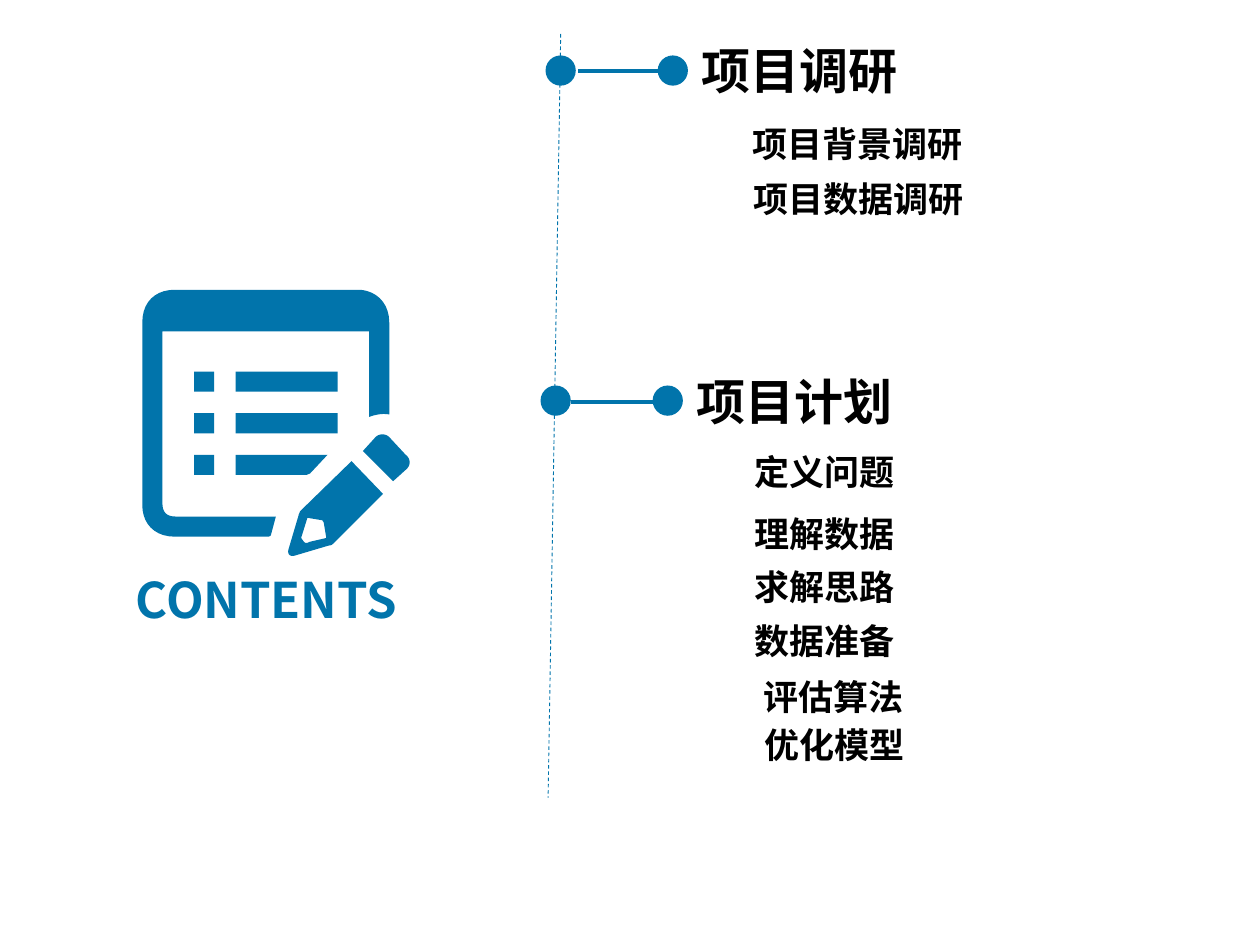
from lxml import etree
from pptx import Presentation
from pptx.dml.color import RGBColor
from pptx.enum.dml import MSO_LINE
from pptx.enum.shapes import MSO_CONNECTOR, MSO_SHAPE
from pptx.enum.text import MSO_AUTO_SIZE, PP_ALIGN
from pptx.oxml.ns import qn
from pptx.util import Inches, Pt

COLORS = {"blue": "0174AB", "black": "000000"}
FONT = "Noto Sans CJK SC"
STRAIGHT = MSO_CONNECTOR.STRAIGHT
DASH = MSO_LINE.DASH
OVAL, RECTANGLE = MSO_SHAPE.OVAL, MSO_SHAPE.RECTANGLE
FIT_SHAPE = MSO_AUTO_SIZE.SHAPE_TO_FIT_TEXT
LEFT, CENTER = PP_ALIGN.LEFT, PP_ALIGN.CENTER
CURVE_STEPS = 10

deck = Presentation()
deck.slide_width, deck.slide_height = Inches(10), Inches(7.5)
slide = deck.slides.add_slide(deck.slide_layouts[6])
shapes = slide.shapes

# The slide is a grid of 100 columns by 75 rows.
COL, ROW = deck.slide_width / 100, deck.slide_height / 75


def place(*lengths):
    """Turn alternating columns and rows into slide lengths."""
    return [round(length * (COL, ROW)[i % 2]) for i, length in enumerate(lengths)]


def flatten(outline):
    """Turn points and six-number Bézier curves into a list of points."""
    points = []
    for step in outline:
        if len(step) == 2:
            points.append(place(*step))
            continue
        knots = [points[-1]] + [place(*step[i:i + 2]) for i in (0, 2, 4)]
        for i in range(1, CURVE_STEPS + 1):
            t = i / CURVE_STEPS
            weights = ((1 - t) ** 3, 3 * t * (1 - t) ** 2, 3 * t * t * (1 - t), t ** 3)
            points.append([sum(w * knot[axis] for w, knot in zip(weights, knots))
                           for axis in (0, 1)])
    return points


# Timeline spine and rungs: start, end, width in points, dash
lines = [
    ((44.5, 2.7, 43.5, 63.3), 0.5, DASH),
    ((45.9, 5.6, 52.4, 5.6), 2.25, None),
    ((45.3, 31.9, 51.8, 31.9), 2.25, None),
]
for ends, width, dash in lines:
    connector = shapes.add_connector(STRAIGHT, *place(*ends))
    connector.line.color.rgb = RGBColor.from_string(COLORS["blue"])
    connector.line.width = Pt(width)
    if dash:
        connector.line.dash_style = dash
    etree.SubElement(connector._element.spPr, qn("a:effectLst"))

# Notepad and pencil: each icon part is a list of closed outlines
notepad = [
    (21.9, 41), (21.5, 42.5), (21.4, 42.6, 21.3, 42.6, 21.2, 42.6), (13.9, 42.6),
    (12.2, 42.6, 11.3, 41.5, 11.3, 40.1), (11.3, 25.6),
    (11.3, 24, 12.3, 23, 13.9, 23), (28.4, 23),
    (29.7, 23, 30.9, 23.9, 30.9, 25.6), (30.9, 32.9),
    (30.4, 32.8, 29.8, 32.9, 29.3, 33.1), (29.3, 26.3), (12.9, 26.3), (12.9, 40),
    (12.9, 40.6, 13.2, 41, 13.9, 41),
]
pencil = [
    (27.9, 36.6), (30.4, 39.2), (26.5, 43.1), (26.4, 43.2, 26.3, 43.3, 26.1, 43.3),
    (23.4, 44.1), (23, 44.2, 22.8, 44, 22.9, 43.6), (23.7, 40.9),
    (23.7, 40.8, 23.8, 40.7, 23.8, 40.6),
]
pencil_tip = [
    (24.4, 41.1), (23.9, 42.7), (24.2, 43.1, 24.2, 43.2, 24.6, 43), (25.9, 42.7),
    (25.7, 41.5), (25.7, 41.4, 25.6, 41.4, 25.6, 41.3),
]
eraser = [
    (28.8, 35.8), (29.8, 34.7), (30.1, 34.4, 30.6, 34.4, 30.9, 34.7), (32.2, 36.1),
    (32.6, 36.4, 32.6, 36.9, 32.3, 37.2), (31.2, 38.2),
]
cut_bar = [
    (18.7, 36.1), (26, 36.1), (24.6, 37.6), (24.5, 37.6, 24.4, 37.7, 24.3, 37.7),
    (18.7, 37.7),
]
icon_parts = [[notepad], [pencil, pencil_tip], [eraser], [cut_bar]]

blue_shapes = []
for outlines in icon_parts:
    contours = [flatten(outline) for outline in outlines]
    builder = shapes.build_freeform(*contours[0][0])
    for i, contour in enumerate(contours):
        if i:
            builder.move_to(*contour[0])
        builder.add_line_segments(contour[1:], close=True)
    blue_shapes.append(builder.convert_to_shape())

# Rows of the list on the notepad
for row in range(3):
    top = 29.5 + 3.3 * row
    blue_shapes.append(shapes.add_shape(RECTANGLE, *place(15.4, top, 1.6, 1.6)))
    if row < 2:
        blue_shapes.append(shapes.add_shape(RECTANGLE, *place(18.7, top, 8.1, 1.6)))

# A pair of dots for each section
for left, top in [(43.3, 4.4), (42.9, 30.6)]:
    for offset in (0, 8.9):
        blue_shapes.append(shapes.add_shape(OVAL, *place(left + offset, top, 2.4, 2.4)))

for shape in blue_shapes:
    shape.shadow.inherit = False
    shape.fill.solid()
    shape.fill.fore_color.rgb = RGBColor.from_string(COLORS["blue"])
    shape.line.fill.background()

# Text: wording, place, size, colour, alignment, wrap
texts = [
    ("CONTENTS", (6.6, 44.7, 29.1, 5.7), 28, "blue", CENTER, True),
    ("项目调研", (54.7, 2.7, 23.8, 5.7), 28, "black", LEFT, True),
    ("项目计划", (54.3, 29, 42.4, 5.7), 28, "black", LEFT, True),
]
items = [
    ("项目背景调研", 58.7, 9.2), ("项目数据调研", 58.8, 13.6),
    ("定义问题", 58.9, 35.3), ("理解数据", 58.9, 40.2),
    ("求解思路", 58.9, 44.4), ("数据准备", 58.9, 48.7),
    ("评估算法", 59.6, 53.1), ("优化模型", 59.7, 56.9),
]
for wording, left, top in items:
    wrap = left < 59
    width = 31.5 if wrap else 13.1
    texts.append((wording, (left, top, width, 4.4), 20, "black", LEFT, wrap))

for wording, area, size, color, alignment, wrap in texts:
    frame = shapes.add_textbox(*place(*area)).text_frame
    frame.word_wrap = wrap
    frame.auto_size = FIT_SHAPE
    para = frame.paragraphs[0]
    para.alignment = alignment
    span = para.add_run()
    span.text = wording
    for name, value in {"name": FONT, "size": Pt(size), "bold": True}.items():
        setattr(span.font, name, value)
    span.font.color.rgb = RGBColor.from_string(COLORS[color])
    etree.SubElement(span._r.get_or_add_rPr(), qn("a:ea"), typeface=FONT)

deck.save("out.pptx")
